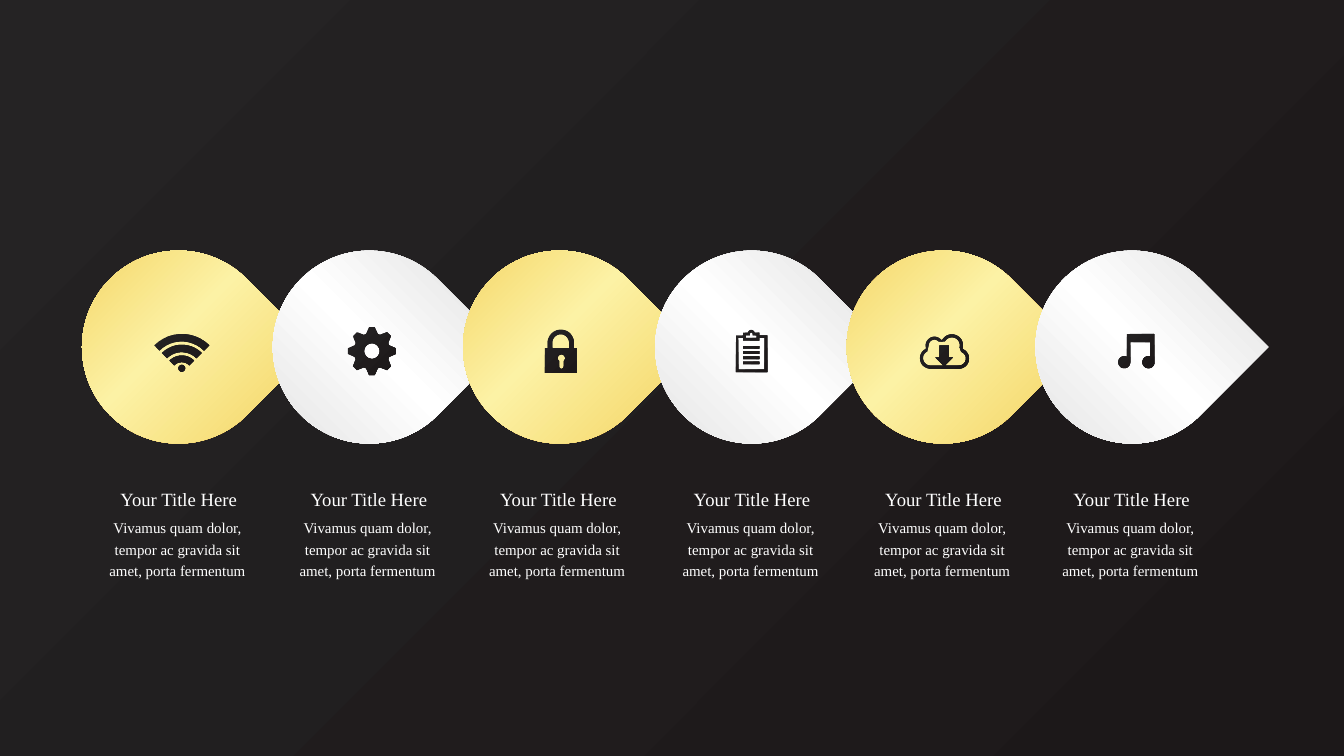
"""Build a slide with a chain of six teardrops, each with an icon and a label."""
from math import cos, radians, sin

from pptx import Presentation
from pptx.dml.color import RGBColor as Rgb
from pptx.enum.shapes import MSO_SHAPE as Kind
from pptx.enum.text import MSO_AUTO_SIZE as Auto, PP_ALIGN as Align
from pptx.oxml import parse_xml
from pptx.oxml.ns import nsdecls
from pptx.util import Inches, Pt

THEME = {
    "font": "Times New Roman",
    "text": "FFFFFF",
    "head": 20,
    "body": 16,
    "dark": ([(0, "1C1819"), (100, "252324")], None),
    "gold": ([(0, "B37E2A"), (24, "F7DE7A"), (53, "FCF2A5"),
              (77, "F7DE7A"), (100, "B37E2A")], 180),
    "white": ([(0, "D9D9D9"), (49, "FFFFFF"), (100, "D9D9D9")], 90),
}
HEAD = "Your Title Here"
BODY = "Vivamus quam dolor, tempor ac gravida sit amet, porta fermentum"
TOP, SIZE = 3.73, 2.87


def arc(x, y, r, start=0, end=360):
    """Return points on an arc, with angles clockwise from the right."""
    count = max(2, round(abs(end - start) / 8))
    turns = [radians(start + (end - start) * i / count) for i in range(count + 1)]
    return [(x + r * cos(t), y + r * sin(t)) for t in turns]


def box(left, top, right, low):
    """Return the corners of a rectangle."""
    return [(left, top), (right, top), (right, low), (left, low)]


def wifi():
    """Return three signal bands and a dot."""
    x, y = 2.705, 5.55
    bands = [arc(x, y, big, 225, 315) + arc(x, y, small, 315, 225)
             for small, big in [(0.47, 0.58), (0.31, 0.42), (0.16, 0.26)]]
    return bands + [arc(x, 5.48, 0.05)]


def gear():
    """Return an eight-tooth wheel and its hole."""
    x, y = 5.535, 5.225
    tooth = [(0.27, -18.5), (0.36, -6.5), (0.36, 6.5), (0.27, 18.5)]
    rim = [arc(x, y, r, 45 * i + turn)[0] for i in range(8) for r, turn in tooth]
    return [rim, arc(x, y, 0.115)]


def lock():
    """Return a padlock with its shackle gap and keyhole."""
    x, y = 8.345, 5.1
    case = [(8.11, 5.18), *arc(x, y, 0.195, 180, 360)]
    case = [case[0], (8.15, 5.18), *case[1:], (8.54, 5.18),
            (8.58, 5.18), (8.58, 5.55), (8.11, 5.55)]
    gap = [(8.22, 5.18), *arc(x, y, 0.125, 180, 360), (8.47, 5.18)]
    hole = arc(8.355, 5.33, 0.055, 130, 410) + arc(8.355, 5.455, 0.035, 0, 180)
    return [case, gap, hole]


def board():
    """Return a clipboard with four text lines."""
    x = 11.18
    edge = [(10.95, 5.54), (10.95, 4.99), (11.06, 4.99), (11.06, 4.95),
            *arc(x, 4.96, 0.05, 190, 350), (11.3, 4.95), (11.3, 4.99),
            (11.42, 4.99), (11.42, 5.54)]
    page = [(10.99, 5.03), (11.06, 5.03), (11.06, 5.07), (11.3, 5.07),
            (11.3, 5.03), (11.38, 5.03), (11.38, 5.5), (10.99, 5.5)]
    clip = [(11.1, 5.03), (11.1, 4.99), (11.16, 4.99),
            *arc(x, 4.97, 0.02, 180, 360), (11.2, 4.99), (11.26, 4.99),
            (11.26, 5.03)]
    rows = [5.15 + 0.077 * i for i in range(4)]
    return [edge, page, clip] + [box(11.06, y, 11.3, y + 0.04) for y in rows]


def cloud():
    """Return a cloud outline around a down arrow."""
    lobes = [(13.845, 5.33, 0.155, 90, 245), (13.905, 5.14, 0.13, 180, 320),
             (14.165, 5.14, 0.165, 210, 375), (14.27, 5.335, 0.15, 290, 450)]
    rims = [[p for x, y, r, a, b in lobes for p in arc(x, y, r - cut, a, b)]
            for cut in (0, 0.045)]
    arrow = [(13.98, 5.14), (14.12, 5.14), (14.12, 5.32), (14.18, 5.32),
             (14.05, 5.45), (13.92, 5.32), (13.98, 5.32)]
    return rims + [arrow]


def music():
    """Return two joined notes."""
    left, right, y, r = 16.73, 17.09, 5.39, 0.09
    return [[(16.77, 4.97), (17.18, 4.97), *arc(right, y, r, 0, 290),
             (17.12, 5.09), (16.82, 5.09), *arc(left, y, r, 0, 295)]]


STEPS = [
    (1.22, 1.48, "gold", wifi),
    (4.06, 4.31, "white", gear),
    (6.89, 7.13, "gold", lock),
    (9.75, 10.01, "white", board),
    (12.6, 12.86, "gold", cloud),
    (15.41, 15.66, "white", music),
]


def paint(fill, root, name):
    """Give a fill the named gradient of the theme."""
    stops, turn = THEME[name]
    fill.solid()
    marks = "".join(f'<a:gs pos="{pos * 1000}"><a:srgbClr val="{tone}"/></a:gs>'
                    for pos, tone in stops)
    if turn is None:
        way = '<a:path path="circle"><a:fillToRect l="100000" t="100000"/></a:path>'
    else:
        way = f'<a:lin ang="{turn * 60000}" scaled="0"/>'
    old = root.xpath(".//a:solidFill")[0]
    old.getparent().replace(old, parse_xml(
        f'<a:gradFill {nsdecls("a")} rotWithShape="1">'
        f'<a:gsLst>{marks}</a:gsLst>{way}</a:gradFill>'))


def finish(shape, name):
    """Paint a shape and drop its line and shadow."""
    paint(shape.fill, shape.element, name)
    shape.line.fill.background()
    shape.shadow.inherit = False


def draw(shapes, rings):
    """Draw an icon from closed outlines."""
    rings = [[(Inches(x), Inches(y)) for x, y in ring] for ring in rings]
    pen = shapes.build_freeform(*rings[0][0])
    for i, ring in enumerate(rings):
        if i:
            pen.move_to(*ring[0])
        pen.add_line_segments(ring[1:], close=True)
    finish(pen.convert_to_shape(), "dark")


def write(shapes, text, at, size, font=THEME["font"], tone=THEME["text"]):
    """Add a centred text box."""
    area = shapes.add_textbox(*map(Inches, at))
    frame = area.text_frame
    frame.word_wrap = True
    frame.auto_size = Auto.SHAPE_TO_FIT_TEXT
    para = frame.paragraphs[0]
    para.alignment, para.line_spacing = Align.CENTER, 1.2
    run = para.add_run()
    run.text = text
    run.font.name, run.font.size = font, Pt(size)
    run.font.color.rgb = Rgb.from_string(tone)


def main():
    """Build and save the slide."""
    deck = Presentation()
    deck.slide_width, deck.slide_height = Inches(20), Inches(11.25)
    slide = deck.slides.add_slide(deck.slide_layouts[6])
    paint(slide.background.fill, slide.element, "dark")
    shapes = slide.shapes
    for left, text, name, icon in STEPS:
        drop = shapes.add_shape(Kind.TEAR, *map(Inches, (left, TOP, SIZE, SIZE)))
        drop.rotation = 45
        finish(drop, name)
        draw(shapes, icon())
        write(shapes, HEAD, (text, 7.14, 2.36, 0.47), THEME["head"])
        write(shapes, BODY, (text, 7.62, 2.32, 1.04), THEME["body"])
    deck.save("out.pptx")


if __name__ == "__main__":
    main()
